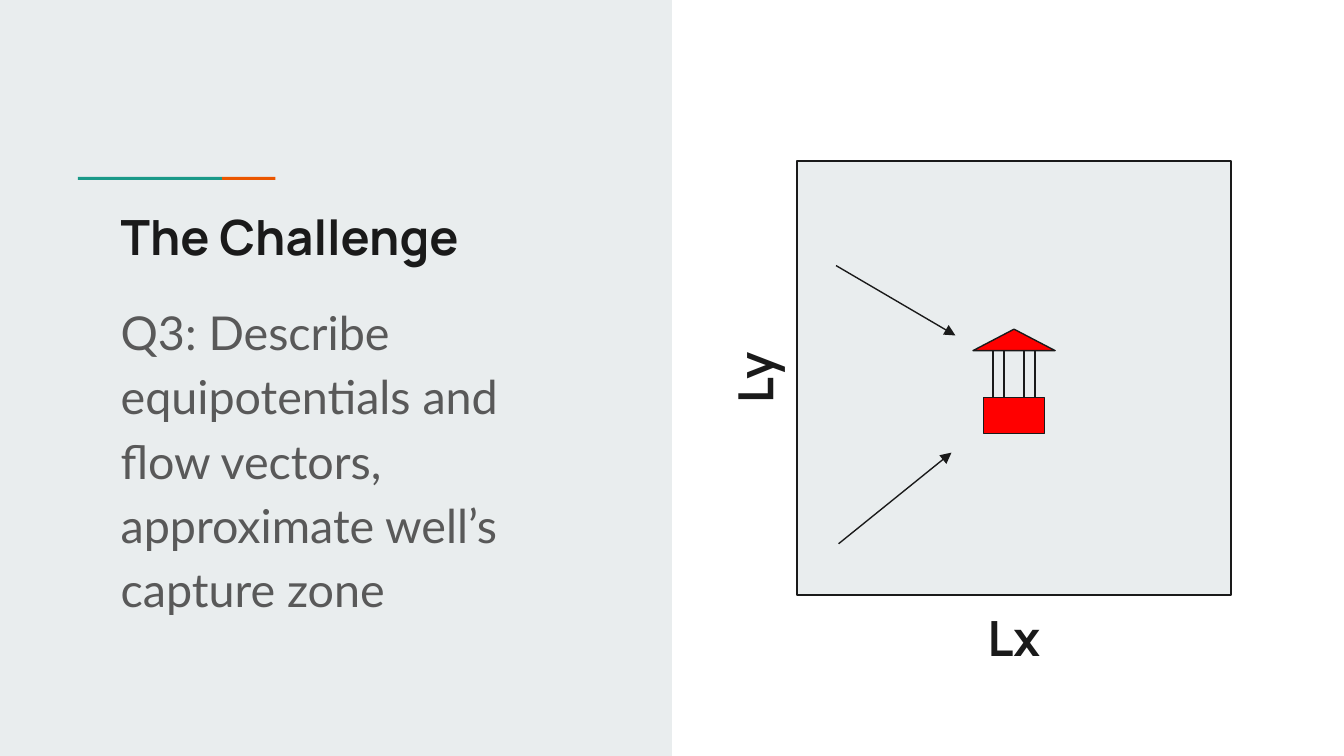
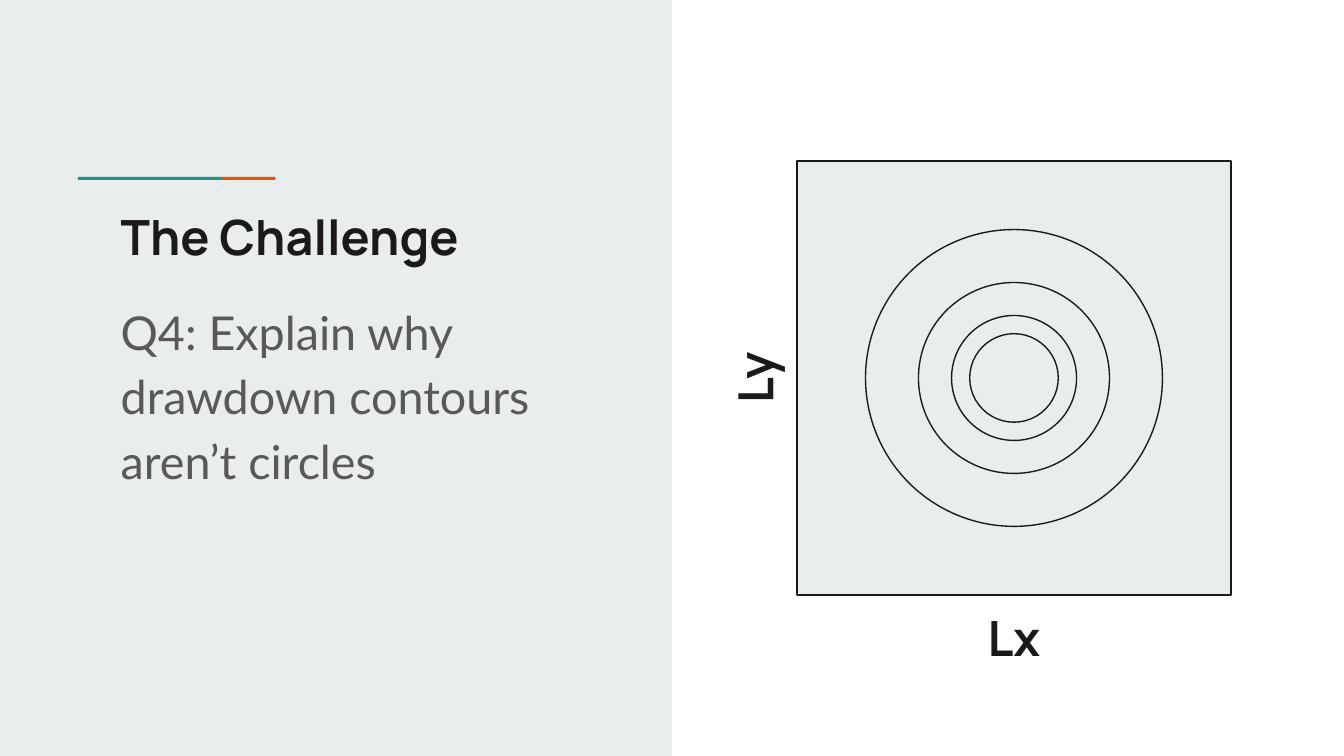
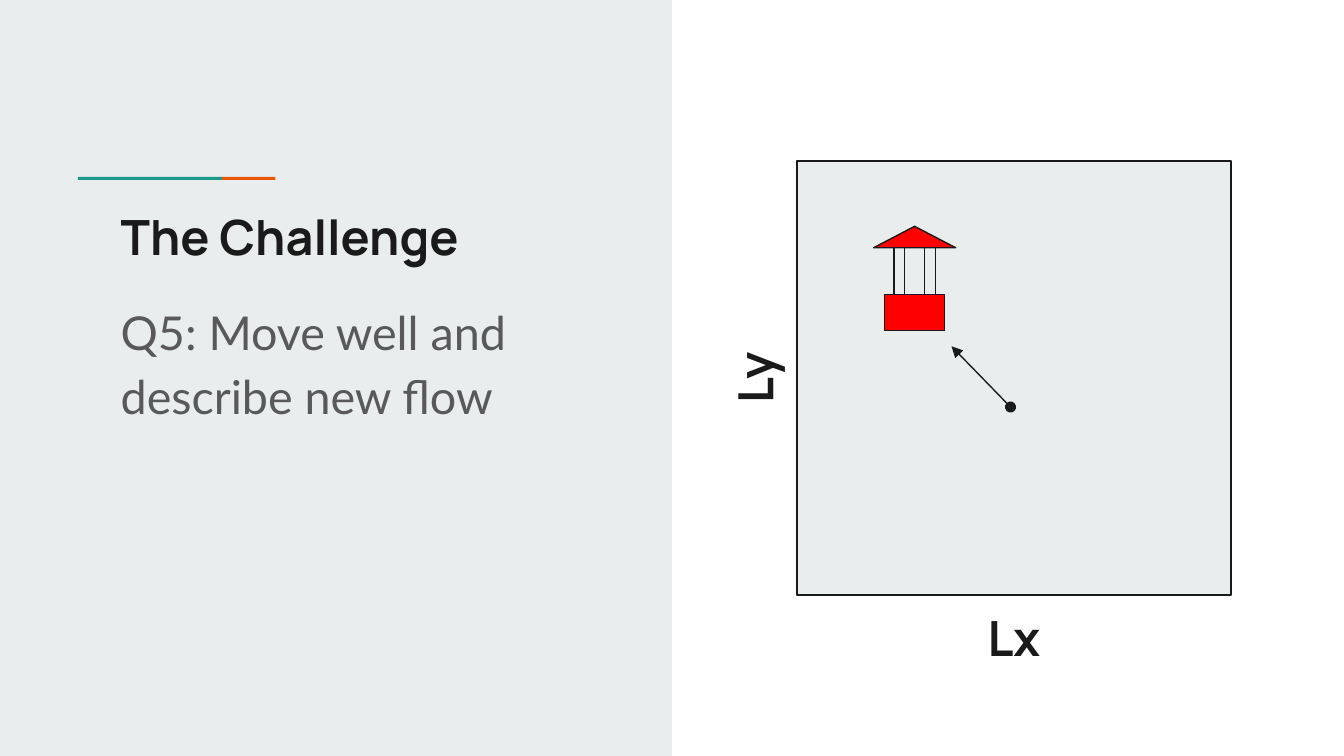
import dataclasses

import lxml.etree
import pptx
import pptx.dml.color
import pptx.enum.shapes
import pptx.enum.text
import pptx.oxml.ns
import pptx.util

SHAPE = pptx.enum.shapes.MSO_SHAPE
ALIGN = pptx.enum.text.PP_ALIGN
ANCHOR = pptx.enum.text.MSO_ANCHOR

INK, GREY, MIST = "1A1A1A", "595959", "E9EDEE"
TEAL, ORANGE, RED = "1A9988", "EB5600", "FF0000"
LINE_WIDTH = pptx.util.Pt(0.75)


@dataclasses.dataclass
class Box:
    """A rectangle in inches; its parts are given in percent of its size."""
    left: float
    top: float
    width: float
    height: float

    def point(self, x, y):
        return self.left + self.width * x / 100, self.top + self.height * y / 100

    def inner(self, x, y, width, height):
        return Box(*self.point(x, y), self.width * width / 100, self.height * height / 100)

    def centred(self, x, y, width, height):
        return self.inner(x - width / 2, y - height / 2, width, height)

    def emu(self):
        return [pptx.util.Inches(v) for v in (self.left, self.top, self.width, self.height)]


SLIDE = Box(0, 0, 10, 5.625)
PLOT = SLIDE.inner(59.3, 21.3, 32.3, 57.4)


def colour(value):
    return pptx.dml.color.RGBColor.from_string(value)


def add_block(page, kind, box, fill, outlined=True):
    shape = page.shapes.add_shape(kind, *box.emu())
    shape.shadow.inherit = False
    shape.fill.solid()
    shape.fill.fore_color.rgb = colour(fill)
    if outlined:
        shape.line.color.rgb = colour(INK)
        shape.line.width = LINE_WIDTH
    else:
        shape.line.fill.background()


def add_text(page, box, text, font="Manrope", size=26, ink=INK, bold=True,
             align=ALIGN.LEFT, anchor=ANCHOR.TOP, rotation=0):
    """Add a wrapped one-paragraph text box and return the paragraph."""
    shape = page.shapes.add_textbox(*box.emu())
    shape.rotation = rotation
    frame = shape.text_frame
    frame.word_wrap = True
    frame.vertical_anchor = anchor
    frame.margin_left = frame.margin_right = pptx.util.Inches(0.1)
    frame.margin_top = frame.margin_bottom = pptx.util.Inches(0.1)
    para = frame.paragraphs[0]
    para.text = text
    para.alignment = align
    para.font.name = font
    para.font.size = pptx.util.Pt(size)
    para.font.bold = bold
    para.font.color.rgb = colour(ink)
    return para


def add_arrow(page, box, start, end, dotted_start=False):
    ends = [pptx.util.Inches(v) for v in (*box.point(*start), *box.point(*end))]
    arrow = page.shapes.add_connector(pptx.enum.shapes.MSO_CONNECTOR.STRAIGHT, *ends)
    arrow.line.color.rgb = colour(INK)
    arrow.line.width = LINE_WIDTH
    stroke = arrow.line._get_or_add_ln()
    if dotted_start:
        lxml.etree.SubElement(stroke, pptx.oxml.ns.qn("a:headEnd"), type="oval")
    lxml.etree.SubElement(stroke, pptx.oxml.ns.qn("a:tailEnd"), type="triangle")
    lxml.etree.SubElement(arrow._element.spPr, pptx.oxml.ns.qn("a:effectLst"))


def add_question_panel(page, box, question, body_width):
    add_block(page, SHAPE.RECTANGLE, box.inner(0, 0, 50, 100), MIST, outlined=False)
    accent = box.inner(5.8, 23.4, 14.7, 0.4)
    add_block(page, SHAPE.RECTANGLE, accent.inner(0, 0, 73, 100), TEAL, outlined=False)
    add_block(page, SHAPE.RECTANGLE, accent.inner(73, 0, 27, 100), ORANGE, outlined=False)
    add_text(page, box.inner(8, 25.6, 36.1, 11.7), "The Challenge")
    para = add_text(page, box.inner(8, 37.3, body_width, 58.8), question,
                    font="Lato", size=25, ink=GREY, bold=False)
    para.line_spacing = 1.15
    para.space_after = pptx.util.Pt(12)


def add_plot(page, box):
    """Add the square domain with its two axis names."""
    add_block(page, SHAPE.RECTANGLE, box, MIST)
    add_text(page, box.inner(0, 100, 100, 20.4), "Lx", align=ALIGN.CENTER)
    add_text(page, box.centred(-10.3, 50, 100, 20.4), "Ly", align=ALIGN.CENTER,
             anchor=ANCHOR.BOTTOM, rotation=270)


def add_well(page, box):
    for x, y in ((24.6, 20.5), (62.3, 12.8)):
        add_block(page, SHAPE.RECTANGLE, box.inner(x, y, 13.1, 66.7), MIST)
    add_block(page, SHAPE.RECTANGLE, box.inner(13.1, 65.4, 73.8, 34.6), RED)
    add_block(page, SHAPE.ISOSCELES_TRIANGLE, box.inner(0, 0, 100, 20.5), RED)


def add_contours(page, box):
    for diameter in (68.4, 44, 28.8, 20.4):
        add_block(page, SHAPE.OVAL, box.centred(50, 50, diameter, diameter), MIST)


def add_challenge(deck, question, body_width=33.5):
    page = deck.slides.add_slide(deck.slide_layouts[6])
    add_question_panel(page, SLIDE, question, body_width)
    add_plot(page, PLOT)
    return page


def main():
    deck = pptx.Presentation()
    deck.slide_width = pptx.util.Inches(SLIDE.width)
    deck.slide_height = pptx.util.Inches(SLIDE.height)

    page = add_challenge(
        deck, "Q3: Describe equipotentials and flow vectors, approximate well’s capture zone")
    add_well(page, PLOT.centred(50, 50.8, 18.9, 24.1))
    add_arrow(page, PLOT, (9.6, 88.2), (35.6, 67.2))
    add_arrow(page, PLOT, (9, 24.1), (36.5, 40.2))

    page = add_challenge(deck, "Q4: Explain why drawdown contours aren’t circles")
    add_contours(page, PLOT)

    page = add_challenge(deck, "Q5: Move well and describe new flow", body_width=36.5)
    add_well(page, PLOT.centred(27.1, 27.1, 18.9, 24.1))
    add_arrow(page, PLOT, (49.2, 56.7), (35.6, 42.7), dotted_start=True)

    deck.save("out.pptx")


if __name__ == "__main__":
    main()
